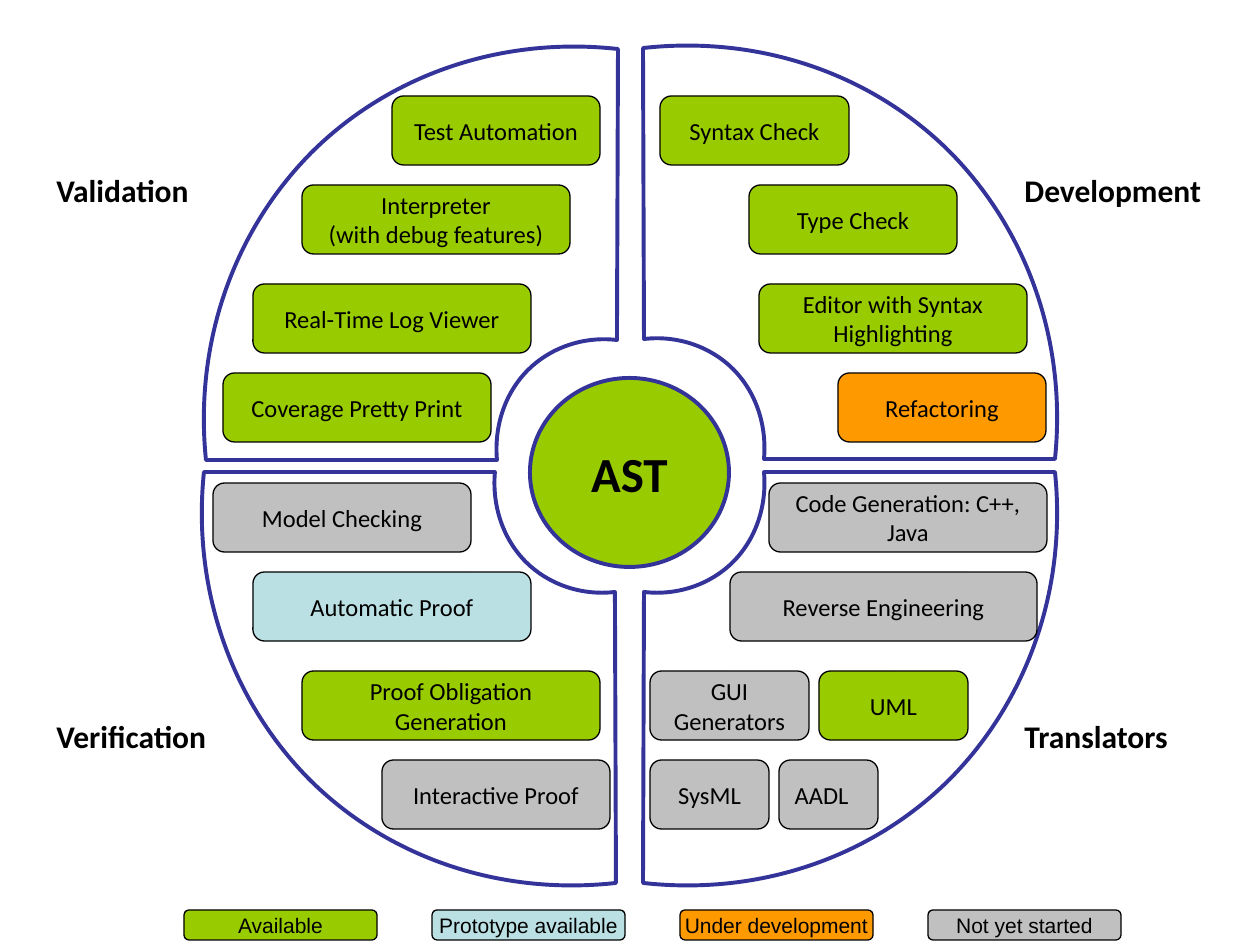
from pptx import Presentation
from pptx.dml.color import RGBColor as RGB
from pptx.enum.shapes import MSO_SHAPE as SHAPE
from pptx.enum.text import MSO_ANCHOR as ANCHOR, MSO_AUTO_SIZE as AUTO, PP_ALIGN as ALIGN
from pptx.oxml.ns import qn
from pptx.util import Emu, Pt

PX = 914400 / 126  # EMU per px

THEME = {
    "available": RGB.from_string("99CC00"),
    "prototype": RGB.from_string("BBE0E3"),
    "developing": RGB.from_string("FF9900"),
    "not_started": RGB.from_string("C0C0C0"),
    "ring": RGB.from_string("333399"),
    "paper": RGB.from_string("FFFFFF"),
    "ink": RGB.from_string("000000"),
    # font, size, bold, space before
    "hub": ("Calibri", 28, True, 17.5),
    "area": ("Calibri", 18, True, 11.2),
    "tool": ("Calibri", 14, False, 8.8),
    "legend": ("Arial", 12, False, 0),
}


def paint(sp, fill, line, width):
    sp.shadow.inherit = False
    sp.fill.solid()
    sp.fill.fore_color.rgb = THEME[fill]
    sp.line.color.rgb = THEME[line]
    sp.line.width = Pt(width)


def write(sp, text, style, align=ALIGN.CENTER, anchor=ANCHOR.MIDDLE, wrap=True):
    font, size, bold, before = THEME[style]
    tf = sp.text_frame
    tf.word_wrap = wrap
    tf.vertical_anchor = anchor
    p = tf.paragraphs[0]
    p.alignment = align
    p.space_before = Pt(before)
    for i, line in enumerate(text.split("\n")):
        if i:
            p.add_line_break()
        r = p.add_run()
        r.text = line
        r.font.name, r.font.size, r.font.bold = font, Pt(size), bold
        r.font.color.rgb = THEME["ink"]


prs = Presentation()
prs.slide_width, prs.slide_height = Emu(round(1260 * PX)), Emu(round(945 * PX))
s = prs.slides.add_slide(prs.slide_layouts[6])

# Ring quadrants: the top right outline, mirrored into the other three.
# Inner arc (two curves), straight edge, outer arc (two curves).
outline = [
    (644, 339), (678, 335), (711, 347), (733, 369), (756, 392), (767, 425), (764, 459),
    (1055, 459), (1067, 343), (1028, 231), (950, 152), (872, 74), (760, 35), (643, 48),
]
curve_starts = (0, 3, 7, 10)
# x sign, x offset, y sign, y offset
mirrors = [(-1, 1261, 1, 1), (1, 0, 1, 0), (-1, 1259, -1, 931), (1, 0, -1, 931)]
for sx, dx, sy, dy in mirrors:
    points = [(sx * x + dx, sy * y + dy) for x, y in outline]
    builder = s.shapes.build_freeform(*points[0], scale=PX)
    builder.add_line_segments(points[1:], close=True)
    sp = builder.convert_to_shape()
    paint(sp, "paper", "ring", 2.25)
    # Turn each group of three line segments into one Bézier curve
    segments = list(sp._element.iter(qn("a:lnTo")))
    for start in curve_starts:
        first, second, third = segments[start:start + 3]
        curve = first.makeelement(qn("a:cubicBezTo"), {})
        first.addprevious(curve)
        for segment in (first, second, third):
            curve.append(segment[0])
            segment.getparent().remove(segment)

# Hub
sp = s.shapes.add_shape(SHAPE.OVAL, *[Emu(round(n * PX)) for n in (530, 378, 199, 189)])
paint(sp, "available", "ring", 2.25)
write(sp, "AST", "hub", wrap=False)

# Area labels
for text, x, y, w, h in [
    ("Validation", 44, 165, 179, 88),
    ("Development", 1012, 165, 223, 88),
    ("Verification", 44, 711, 208, 50),
    ("Translators", 1012, 711, 248, 50),
]:
    sp = s.shapes.add_textbox(*[Emu(round(n * PX)) for n in (x, y, w, h)])
    write(sp, text, "area", ALIGN.LEFT, ANCHOR.TOP)
    sp.text_frame.auto_size = AUTO.SHAPE_TO_FIT_TEXT

# Tools, row by row: text, left, width, status
rows = {
    96: [("Test Automation", 392, 208, "available"),
         ("Syntax Check", 660, 189, "available")],
    185: [("Interpreter\n(with debug features)", 302, 268, "available"),
          ("Type Check", 749, 208, "available")],
    284: [("Real-Time Log Viewer", 253, 278, "available"),
          ("Editor with Syntax Highlighting", 759, 268, "available")],
    373: [("Coverage Pretty Print", 223, 268, "available"),
          ("Refactoring", 838, 208, "developing")],
    483: [("Model Checking", 213, 258, "not_started"),
          ("Code Generation: C++, Java", 769, 278, "not_started")],
    572: [("Automatic Proof", 253, 278, "prototype"),
          ("Reverse Engineering", 730, 307, "not_started")],
    671: [("Proof Obligation Generation", 302, 298, "available"),
          ("GUI Generators", 650, 159, "not_started"),
          ("UML", 819, 149, "available")],
    760: [("Interactive Proof", 382, 228, "not_started"),
          ("SysML", 650, 119, "not_started"),
          ("AADL", 779, 99, "not_started")],
}
for y, tools in rows.items():
    for text, x, w, status in tools:
        sp = s.shapes.add_shape(SHAPE.ROUNDED_RECTANGLE,
                                *[Emu(round(n * PX)) for n in (x, y, w, 69)])
        paint(sp, status, "ink", 0.75)
        write(sp, text, "tool", ALIGN.LEFT if text == "AADL" else ALIGN.CENTER)

# Legend
legend = [("Available", "available"), ("Prototype available", "prototype"),
          ("Under development", "developing"), ("Not yet started", "not_started")]
for i, (text, status) in enumerate(legend):
    sp = s.shapes.add_shape(SHAPE.ROUNDED_RECTANGLE,
                            *[Emu(round(n * PX)) for n in (184 + 248 * i, 910, 193, 30)])
    paint(sp, status, "ink", 0.75)
    write(sp, text, "legend", wrap=False)

prs.save("out.pptx")
